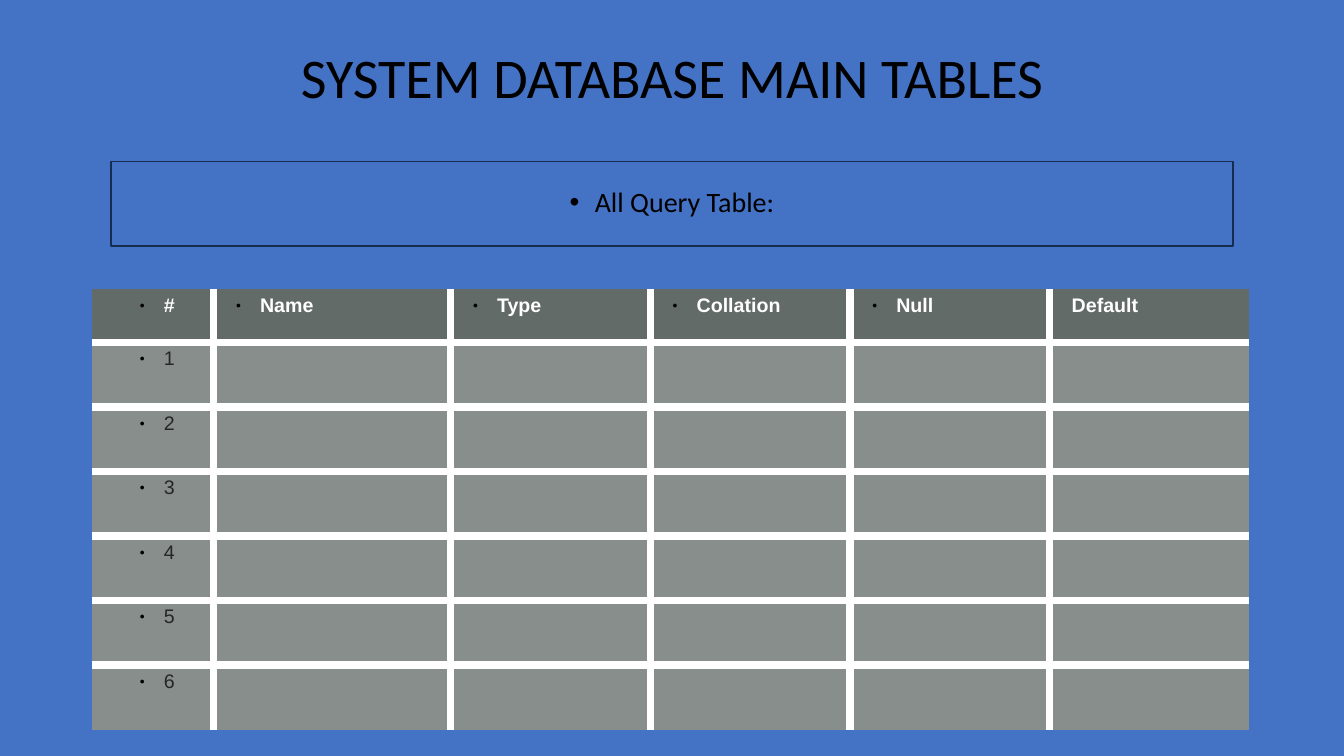
from lxml.etree import SubElement
from pptx import Presentation
from pptx.dml.color import RGBColor
from pptx.enum.shapes import MSO_SHAPE
from pptx.enum.text import MSO_ANCHOR, PP_ALIGN
from pptx.oxml.ns import qn
from pptx.util import Inches, Pt

COLORS = {name: RGBColor.from_string(value) for name, value in {
    "blue": "4472C4", "navy": "172C51", "black": "000000", "white": "FFFFFF",
    "header": "636B68", "body": "878E8B", "number": "262626"}.items()}


def set_bullet(para, char, indent, percent):
    """Give a paragraph a black hanging bullet; call before setting its font."""
    props = para._p.get_or_add_pPr()
    props.set("marL", str(Inches(indent)))
    props.set("indent", str(-Inches(indent)))
    color = SubElement(props, qn("a:buClr"))
    SubElement(color, qn("a:srgbClr"), val=str(COLORS["black"]))
    SubElement(props, qn("a:buSzPct"), val=str(percent * 1000))
    SubElement(props, qn("a:buFont"), typeface="Arial")
    SubElement(props, qn("a:buChar"), char=char)


def set_text(para, text, font, size, color, bold=False):
    para.text = text
    para.font.name, para.font.size, para.font.bold = font, Pt(size), bold
    para.font.color.rgb = COLORS[color]


deck = Presentation()
deck.slide_width, deck.slide_height = Inches(13.33), Inches(7.5)
page = deck.slides.add_slide(deck.slide_layouts[6])
left, width = Inches(1.1), Inches(11.13)

# Blue backdrop
backdrop = page.shapes.add_shape(MSO_SHAPE.RECTANGLE, 0, 0, deck.slide_width, deck.slide_height)
backdrop.shadow.inherit = False
backdrop.fill.solid()
backdrop.fill.fore_color.rgb = COLORS["blue"]
backdrop.line.fill.background()

# Title
title = page.shapes.add_textbox(left, Inches(0.19), width, Inches(1.22))
title.text_frame.word_wrap = True
title.text_frame.vertical_anchor = MSO_ANCHOR.MIDDLE
para = title.text_frame.paragraphs[0]
para.alignment, para.line_spacing = PP_ALIGN.CENTER, 0.9
set_text(para, "SYSTEM DATABASE MAIN TABLES", "Calibri", 40, "black")

# Outlined subtitle
subtitle = page.shapes.add_shape(MSO_SHAPE.RECTANGLE, left, Inches(1.6), width, Inches(0.84))
subtitle.shadow.inherit = False
subtitle.fill.solid()
subtitle.fill.fore_color.rgb = COLORS["blue"]
subtitle.line.color.rgb, subtitle.line.width = COLORS["navy"], Pt(1)
subtitle.text_frame.vertical_anchor = MSO_ANCHOR.MIDDLE
para = subtitle.text_frame.paragraphs[0]
para.alignment, para.line_spacing, para.space_after = PP_ALIGN.CENTER, 0.9, Pt(6)
set_bullet(para, "•", 0.25, 100)
set_text(para, "All Query Table:", "Calibri", 20, "black")

# Table grid
headings = ["#", "Name", "Type", "Collation", "Null", "Default"]
column_widths = [1.21, 2.35] + [1.98] * 4
row_heights = [0.53] + [0.64] * 6
last_row, last_column = len(row_heights) - 1, len(column_widths) - 1
table = page.shapes.add_table(
    len(row_heights), len(column_widths), Inches(0.91), Inches(2.87),
    Inches(sum(column_widths)), Inches(sum(row_heights))).table
for column, size in zip(table.columns, column_widths):
    column.width = Inches(size)
for row, size in zip(table.rows, row_heights):
    row.height = Inches(size)

# Cells: white lines between cells only, none around the table
for r in range(last_row + 1):
    for c in range(last_column + 1):
        cell = table.cell(r, c)
        cell.margin_left, cell.margin_right = Inches(0.22), Inches(0.13)
        cell.margin_top = cell.margin_bottom = Inches(0.05)
        inner_sides = {"lnL": c > 0, "lnR": c < last_column, "lnT": r > 0, "lnB": r < last_row}
        for side, inner in inner_sides.items():
            border = SubElement(cell._tc.get_or_add_tcPr(), qn(f"a:{side}"), w=str(Pt(6)))
            if inner:
                fill = SubElement(border, qn("a:solidFill"))
                SubElement(fill, qn("a:srgbClr"), val=str(COLORS["white"]))
            else:
                SubElement(border, qn("a:noFill"))
        cell.fill.solid()
        cell.fill.fore_color.rgb = COLORS["body" if r else "header"]

        if r and c:
            continue
        para = cell.text_frame.paragraphs[0]
        para.alignment = PP_ALIGN.LEFT if c else PP_ALIGN.CENTER
        if c < last_column:
            set_bullet(para, "●", 0.24, 45)
        if r:
            set_text(para, str(r), "Arial", 14, "number")
        else:
            set_text(para, headings[c], "Arial", 14, "white", bold=True)

deck.save("out.pptx")
